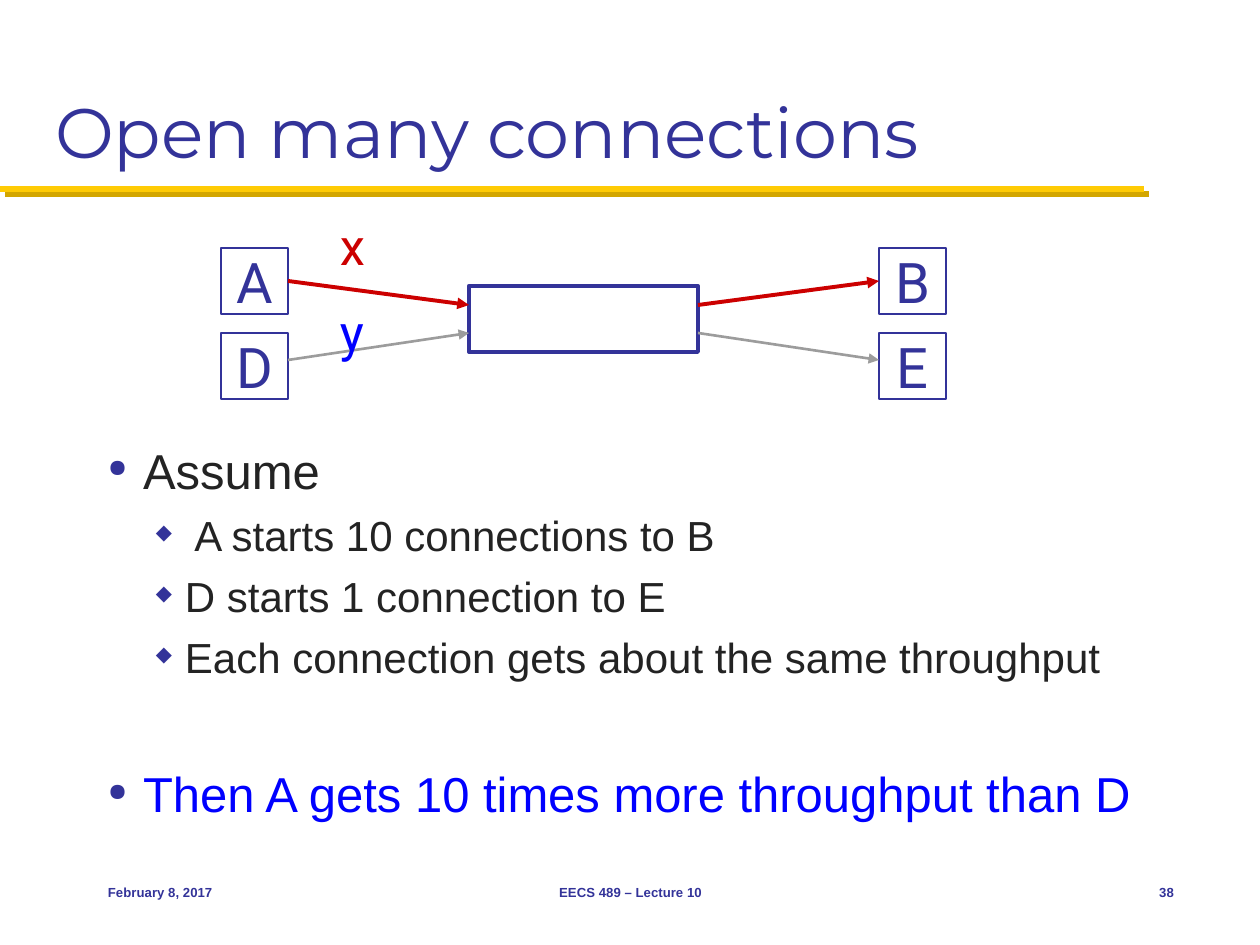
from lxml.etree import SubElement
from pptx import Presentation
from pptx.dml.color import RGBColor
from pptx.enum.shapes import MSO_CONNECTOR, MSO_SHAPE
from pptx.enum.text import MSO_ANCHOR, MSO_AUTO_SIZE, PP_ALIGN
from pptx.oxml.ns import qn
from pptx.util import Pt

NAVY = RGBColor(0x33, 0x33, 0x99)
INK = RGBColor(0x23, 0x23, 0x23)
BLUE = RGBColor(0x00, 0x00, 0xFF)
RED = RGBColor(0xCC, 0x00, 0x00)
GRAY = RGBColor(0x9C, 0x9C, 0x9C)
GOLD = RGBColor(0xFF, 0xCB, 0x05)
WHITE = RGBColor(0xFF, 0xFF, 0xFF)
SHADE = "D3A600"

# Content
TITLE = "Open many connections"
POINTS = [  # text, level, colour, points before
    ("Assume", 0, INK, 0),
    (" A starts 10 connections to B", 1, INK, 6),
    ("D starts 1 connection to E", 1, INK, 6),
    ("Each connection gets about the same throughput", 1, INK, 6),
    ("Then A gets 10 times more throughput than D", 0, BLUE, 47),
]
LEVELS = [  # text size, left margin, hanging indent, bullet
    (28, 35, 35, "●"),
    (24, 77, 29, "◆"),
]
FLOWS = [  # from, to, node top, node port, hub port, colour, width
    ("A", "B", 248, 281, 305, RED, 2.25),
    ("D", "E", 333, 360, 333, GRAY, 1.5),
]
RATES = [("x", 210, RED), ("y", 296, BLUE)]
FOOT = [  # text, left, width, alignment
    ("February 8, 2017", 95, 262, PP_ALIGN.LEFT),
    ("EECS 489 – Lecture 10", 431, 399, PP_ALIGN.CENTER),
    ("38", 1103, 84, PP_ALIGN.RIGHT),
]

# Layout in px
LEFT, RIGHT, NODE_W, NODE_H = 221, 879, 67, 66
HUB = (469, 286, 229, 66)
WIDE, SLIM = (13, 6), (5, 3)


def px(n):
    return round(n * 914400 / 126)


def write(para, text, name, size, color, bold=False):
    run = para.add_run()
    run.text = text
    for key, val in dict(name=name, size=Pt(size), bold=bold).items():
        setattr(run.font, key, val)
    run.font.color.rgb = color


def frame(shape, pad, anchor=MSO_ANCHOR.MIDDLE):
    text = shape.text_frame
    side, edge = map(px, pad)
    form = dict(margin_left=side, margin_right=side, margin_top=edge,
                margin_bottom=edge, word_wrap=True, vertical_anchor=anchor,
                auto_size=MSO_AUTO_SIZE.NONE)
    for key, val in form.items():
        setattr(text, key, val)
    return text


def label(slide, box, pad, align, *font):
    shape = slide.shapes.add_textbox(*map(px, box))
    para = frame(shape, pad).paragraphs[0]
    para.alignment = align
    write(para, *font)


def block(slide, box, width):
    shape = slide.shapes.add_shape(MSO_SHAPE.RECTANGLE, *map(px, box))
    shape.shadow.inherit = False
    shape.fill.solid()
    shape.fill.fore_color.rgb = WHITE
    shape.line.color.rgb = NAVY
    shape.line.width = Pt(width)
    return shape


def node(slide, name, left, top):
    shape = block(slide, (left, top, NODE_W, NODE_H), 0.75)
    para = frame(shape, SLIM).paragraphs[0]
    para.alignment = PP_ALIGN.CENTER
    write(para, name, "Roboto", 32, NAVY)
    return shape


def link(slide, ends, color, width, arrow=True):
    line = slide.shapes.add_connector(MSO_CONNECTOR.STRAIGHT, *map(px, ends))
    line.line.color.rgb = color
    line.line.width = Pt(width)
    if arrow:
        SubElement(line.line._get_or_add_ln(), qn("a:tailEnd"), type="triangle")
    effect = SubElement(line._element.spPr, qn("a:effectLst"))
    return line, effect


def bullet(para, margin, hang, char):
    props = para._p.get_or_add_pPr()
    props.set("marL", str(px(margin)))
    props.set("indent", str(-px(hang)))
    tint = SubElement(props, qn("a:buClr"))
    SubElement(tint, qn("a:srgbClr"), val=str(NAVY))
    SubElement(props, qn("a:buSzPct"), val="50000")
    SubElement(props, qn("a:buChar"), char=char)


def main():
    deck = Presentation()
    deck.slide_width, deck.slide_height = px(1260), px(945)
    slide = deck.slides.add_slide(deck.slide_layouts[5])

    # Title
    title = slide.shapes.title
    spots = zip(("left", "top", "width", "height"), (42, 21, 1176, 158))
    for key, val in spots:
        setattr(title, key, px(val))
    para = frame(title, WIDE, MSO_ANCHOR.BOTTOM).paragraphs[0]
    para.alignment = PP_ALIGN.LEFT
    write(para, TITLE, "Montserrat", 40, NAVY)

    # Gold rule with its hard shadow
    _, effect = link(slide, (0, 189, 1144, 189), GOLD, 3.5, False)
    shadow = SubElement(effect, qn("a:outerShdw"), dist=str(Pt(4.2)),
                        dir="2700000", algn="ctr", rotWithShape="0")
    SubElement(shadow, qn("a:srgbClr"), val=SHADE)

    # Network: two flows through a shared hub
    block(slide, HUB, 2.25)
    for start, end, top, port, mid, color, width in FLOWS:
        source = node(slide, start, LEFT, top)
        sink = node(slide, end, RIGHT, top)
        enter, _ = link(slide, (LEFT + NODE_W, port, HUB[0], mid), color, width)
        leave, _ = link(slide, (HUB[0] + HUB[2], mid, RIGHT, port), color, width)
        if port == top + NODE_H // 2:
            enter.begin_connect(source, 3)
            leave.end_connect(sink, 1)
    for name, top, color in RATES:
        label(slide, (335, top, 48, 71), SLIM, PP_ALIGN.LEFT,
              name, "Roboto", 29, color)

    # Bullet points
    body = slide.shapes.add_textbox(*map(px, (95, 434, 1092, 396)))
    text = frame(body, WIDE, MSO_ANCHOR.TOP)
    for i, (words, level, color, gap) in enumerate(POINTS):
        para = text.add_paragraph() if i else text.paragraphs[0]
        size, margin, hang, char = LEVELS[level]
        bullet(para, margin, hang, char)
        para.level = level
        para.space_before = Pt(gap)
        write(para, words, "Arial", size, color)

    # Footer
    for words, left, width, align in FOOT:
        label(slide, (left, 861, width, 63), WIDE, align,
              words, "Arial", 7.5, NAVY, True)

    deck.save("out.pptx")


if __name__ == "__main__":
    main()
